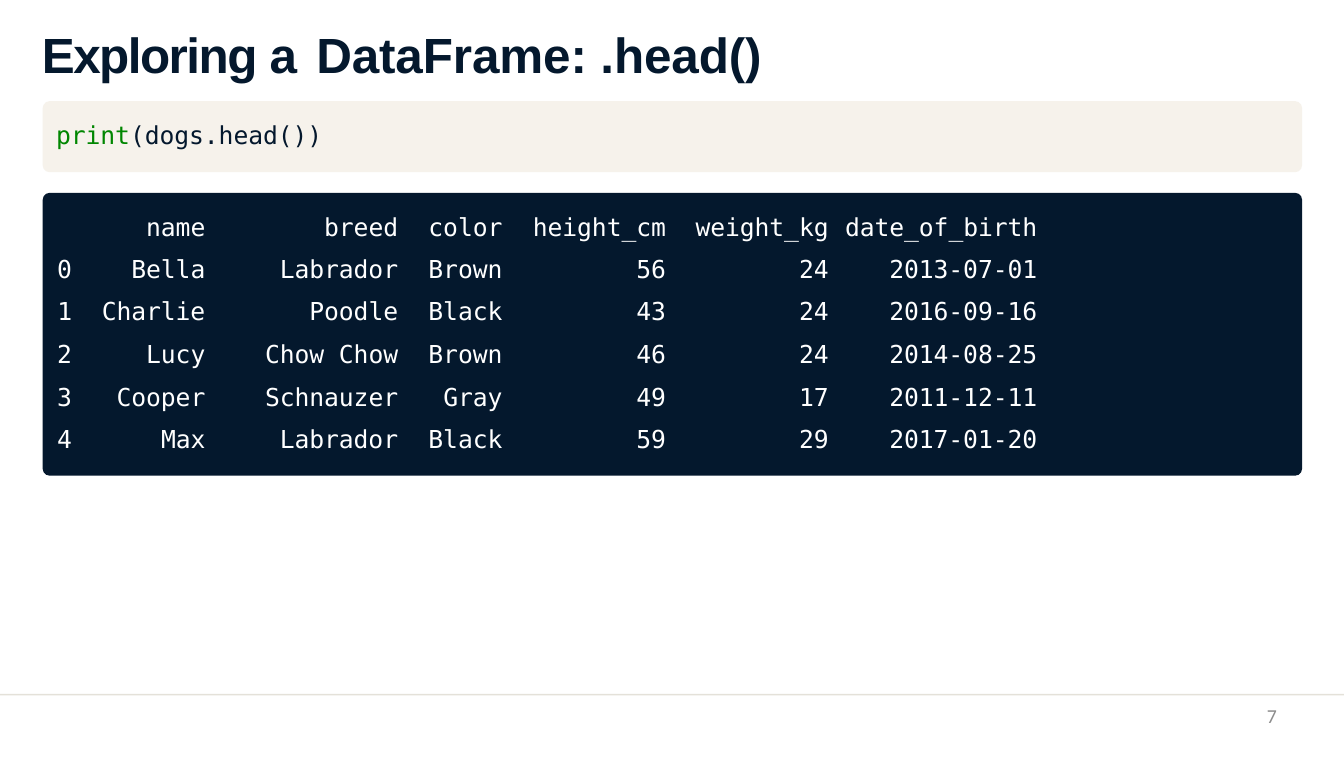
from lxml import etree
from pptx import Presentation
from pptx.dml.color import RGBColor
from pptx.enum.shapes import MSO_SHAPE
from pptx.enum.text import MSO_ANCHOR, PP_ALIGN
from pptx.oxml.ns import qn
from pptx.util import Inches, Pt

RECTANGLE, ROUNDED = MSO_SHAPE.RECTANGLE, MSO_SHAPE.ROUNDED_RECTANGLE
LEFT, RIGHT = PP_ALIGN.LEFT, PP_ALIGN.RIGHT
TOP = MSO_ANCHOR.TOP

NAVY, CREAM, RULE = "04182D", "F6F2EB", "E4E1D9"
GREEN, WHITE, GREY = "008600", "FFFFFF", "8C8C8C"
CODE_FONT = "DejaVu Sans Mono"
CODE_SIZE = 22.5
CHARACTER = 0.188  # width of one code character, in inches
NAME_END = 10  # characters from the row index to the end of the name

COLUMN_WIDTHS = [2.29, 2.26, 1.32, 2.07, 1.97, 2.57]
COLUMN_GAPS = [0.37, 0.19, 0.19, 0.19, 0.1, 0.03]
ROW_HEIGHTS = [0.46, 0.54, 0.54, 0.54, 0.54, 0.46]
DOGS = [
    ["name", "breed", "color", "height_cm", "weight_kg", "date_of_birth"],
    ["Bella", "Labrador", "Brown", "56", "24", "2013-07-01"],
    ["Charlie", "Poodle", "Black", "43", "24", "2016-09-16"],
    ["Lucy", "Chow Chow", "Brown", "46", "24", "2014-08-25"],
    ["Cooper", "Schnauzer", "Gray", "49", "17", "2011-12-11"],
    ["Max", "Labrador", "Black", "59", "29", "2017-01-20"],
]


def color(value):
    return RGBColor.from_string(value)


def add_span(para, text, *, font=CODE_FONT, size=CODE_SIZE, fill=NAVY,
             bold=False, spacing=-0.1):
    span = para.add_run()
    span.text = text
    span.font.name = font
    span.font.size = Pt(size)
    span.font.bold = bold
    span.font.color.rgb = color(fill)
    span.font._element.set("spc", str(round(spacing * 100)))


def add_tab_stop(para, position):
    tabs = etree.SubElement(para._p.get_or_add_pPr(), qn("a:tabLst"))
    etree.SubElement(tabs, qn("a:tab"), pos=str(Inches(position)), algn="l")


def clear_cell(cell):
    properties = cell._tc.get_or_add_tcPr()
    for side in ("lnL", "lnR", "lnT", "lnB"):
        border = etree.SubElement(properties, qn(f"a:{side}"), w="0")
        etree.SubElement(border, qn("a:noFill"))
    cell.fill.background()


class Page:
    def __init__(self, deck):
        self.slide = deck.slides.add_slide(deck.slide_layouts[5])
        self.shapes = self.slide.shapes

    def panel(self, left, top, width, height, fill, radius=0):
        kind = ROUNDED if radius else RECTANGLE
        panel = self.shapes.add_shape(kind, Inches(left), Inches(top),
                                      Inches(width), Inches(height))
        if radius:
            panel.adjustments[0] = radius / height
        panel.shadow.inherit = False
        panel.fill.solid()
        panel.fill.fore_color.rgb = color(fill)
        panel.line.fill.background()

    def fill_frame(self, frame, spans, align=LEFT, inset=0.01):
        frame.word_wrap = True
        frame.vertical_anchor = TOP
        frame.margin_left = frame.margin_top = Inches(inset)
        frame.margin_right = frame.margin_bottom = 0
        para = frame.paragraphs[0]
        para.alignment = align
        for text, style in spans:
            add_span(para, text, **style)

    def title(self, left, top, width, height, spans):
        title = self.shapes.title
        title.left, title.top = Inches(left), Inches(top)
        title.width, title.height = Inches(width), Inches(height)
        self.fill_frame(title.text_frame, spans)

    def text(self, left, top, width, height, spans, **layout):
        box = self.shapes.add_textbox(Inches(left), Inches(top),
                                      Inches(width), Inches(height))
        self.fill_frame(box.text_frame, spans, **layout)

    def table(self, left, top, rows):
        table = self.shapes.add_table(
            len(rows), len(rows[0]), Inches(left), Inches(top),
            Inches(sum(COLUMN_WIDTHS)), Inches(sum(ROW_HEIGHTS))).table
        table.first_row = table.horz_banding = False
        for column, width in zip(table.columns, COLUMN_WIDTHS):
            column.width = Inches(width)
        for row, height in zip(table.rows, ROW_HEIGHTS):
            row.height = Inches(height)
        for r, values in enumerate(rows):
            for c, value in enumerate(values):
                cell = table.cell(r, c)
                clear_cell(cell)
                cell.margin_left = cell.margin_bottom = 0
                cell.margin_right = Inches(COLUMN_GAPS[c])
                cell.margin_top = Inches(0.07 if r else 0)
                para = cell.text_frame.paragraphs[0]
                para.alignment = RIGHT
                if r == 0:
                    para.line_spacing = Pt(26.4)
                else:
                    para.space_before = Pt(4.8)
                    if c == 0:
                        add_tab_stop(para, CHARACTER * (NAME_END - len(value)))
                        add_span(para, f"{r - 1}\t", fill=WHITE, spacing=-0.5)
                add_span(para, value, fill=WHITE)


def main():
    deck = Presentation()
    deck.slide_width, deck.slide_height = Inches(17.01), Inches(9.58)
    page = Page(deck)

    # Title and footer rule
    page.panel(0, 8.78, 17.01, 0.02, RULE)
    heading = {"font": "Arial", "size": 45, "bold": True}
    page.title(0.52, 0.3, 14.46, 0.78, [
        ("Exploring ", {**heading, "spacing": -1.4}),
        ("a ", {**heading, "spacing": 2.5}),
        ("DataFrame: .head()", heading),
    ])

    # Code and its output
    page.panel(0.54, 1.28, 15.94, 0.9, CREAM, radius=0.09)
    page.panel(0.54, 2.44, 15.94, 3.58, NAVY, radius=0.09)
    page.text(0.7, 1.51, 3.41, 0.4,
              [("print", {"fill": GREEN}), ("(dogs.head())", {})])
    page.table(0.68, 2.7, DOGS)

    # Page number
    number = {"font": "Calibri", "size": 18, "fill": GREY, "spacing": 0}
    page.text(12.25, 8.91, 3.91, 0.48, [("7", number)], align=RIGHT, inset=0)

    deck.save("out.pptx")


if __name__ == "__main__":
    main()
